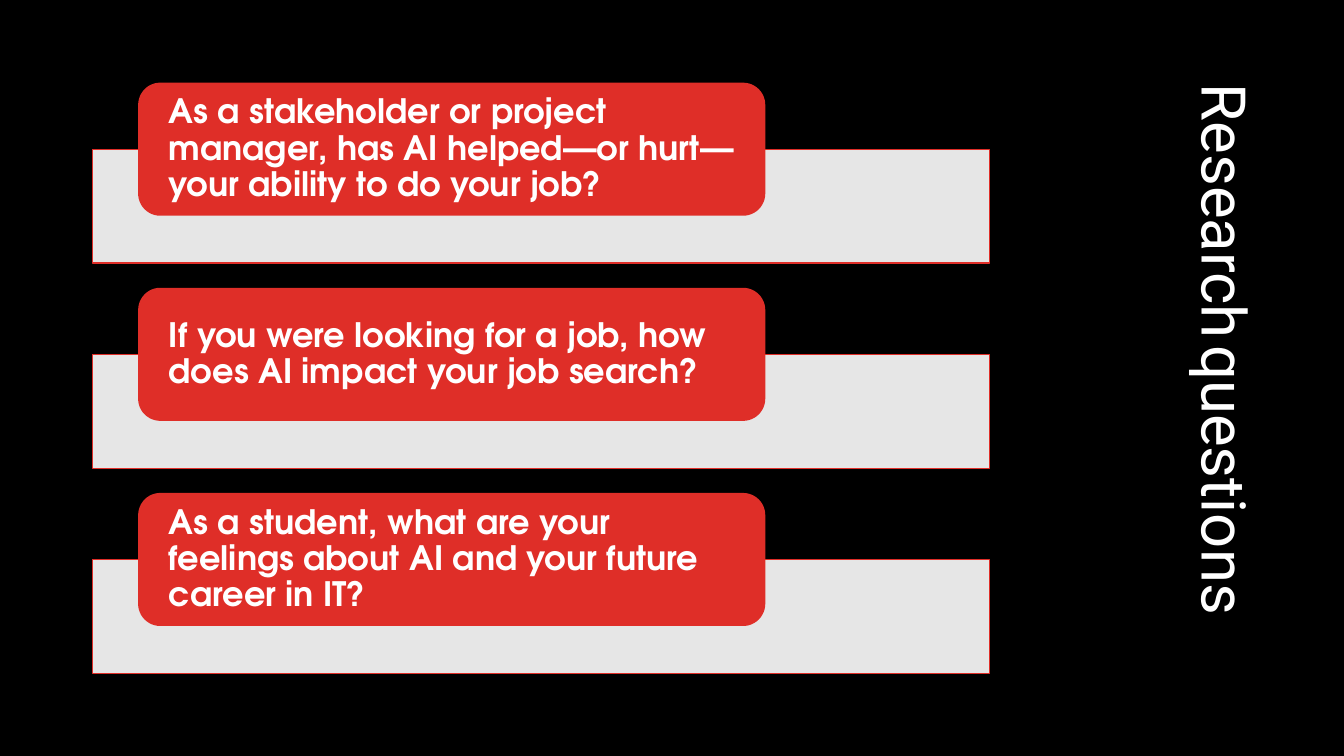
from dataclasses import dataclass

from lxml.etree import SubElement
from pptx import Presentation
from pptx.dml.color import RGBColor
from pptx.enum.shapes import MSO_SHAPE as SHAPE
from pptx.enum.text import MSO_ANCHOR as ANCHOR, MSO_AUTO_SIZE as FIT, PP_ALIGN as ALIGN
from pptx.oxml.ns import qn
from pptx.shapes.autoshape import Shape
from pptx.slide import Slide
from pptx.text.text import _Paragraph as Paragraph
from pptx.util import Inches, Pt

COLORS = {"black": "000000", "white": "FFFFFF", "red": "DF2E28"}
FIRST_TOP, LAST_TOP = 0.82, 4.89
BAR_DROP = 0.66


@dataclass
class Question:
    text: str
    top: float


def rgb(name: str) -> RGBColor:
    return RGBColor.from_string(COLORS[name])


def add_text(p: Paragraph, text: str, *, size: float, font: str, bold: bool = False) -> None:
    r = p.add_run()
    r.text = text
    r.font.size = Pt(size)
    r.font.name = font
    r.font.bold = bold
    r.font.color.rgb = rgb("white")


def add_block(s: Slide, kind: SHAPE, left: float, top: float,
              width: float, height: float, fill: str) -> Shape:
    sp = s.shapes.add_shape(kind, Inches(left), Inches(top), Inches(width), Inches(height))
    sp.shadow.inherit = False
    sp.fill.solid()
    sp.fill.fore_color.rgb = rgb(fill)
    return sp


def add_question(s: Slide, question: Question) -> None:
    bar = add_block(s, SHAPE.RECTANGLE, 0.92, question.top + BAR_DROP, 8.89, 1.13, "white")
    color = bar.fill._xPr.find(f"{qn('a:solidFill')}/{qn('a:srgbClr')}")
    SubElement(color, qn("a:alpha"), val="90000")
    bar.line.color.rgb = rgb("red")
    bar.line.width = Pt(0.75)

    card = add_block(s, SHAPE.ROUNDED_RECTANGLE, 1.37, question.top, 6.22, 1.32, "red")
    card.line.fill.background()
    tf = card.text_frame
    tf.word_wrap = True
    tf.vertical_anchor = ANCHOR.MIDDLE
    tf.margin_left = tf.margin_right = Inches(0.24)
    tf.margin_top = tf.margin_bottom = 0
    p = tf.paragraphs[0]
    p.alignment = ALIGN.LEFT
    p.line_spacing = 0.9
    add_text(p, question.text, size=24, font="TeX Gyre Adventor", bold=True)


def add_title(s: Slide) -> None:
    title = s.shapes.title
    title.left, title.top = Inches(10.95), Inches(0.78)
    title.width, title.height = Inches(1.68), Inches(5.97)
    tf = title.text_frame
    tf.word_wrap = True
    tf.auto_size = FIT.SHAPE_TO_FIT_TEXT
    tf.vertical_anchor = ANCHOR.TOP
    tf._bodyPr.set("vert", "eaVert")
    p = tf.paragraphs[0]
    p.alignment = ALIGN.CENTER
    for text, size in (("Research", 44), (" ", 18), ("questions", 44)):
        add_text(p, text, size=size, font="Roboto")


def main() -> None:
    prs = Presentation()
    prs.slide_width, prs.slide_height = Inches(13.33), Inches(7.5)
    s = prs.slides.add_slide(prs.slide_layouts[5])
    s.background.fill.solid()
    s.background.fill.fore_color.rgb = rgb("black")

    texts = (
        "As a stakeholder or project manager, has AI helped—or hurt—your ability to do your job?",
        "If you were looking for a job, how does AI impact your job search?",
        "As a student, what are your feelings about AI and your future career in IT?",
    )
    pitch = (LAST_TOP - FIRST_TOP) / (len(texts) - 1)
    for i, text in enumerate(texts):
        add_question(s, Question(text, FIRST_TOP + i * pitch))
    add_title(s)
    prs.save("out.pptx")


if __name__ == "__main__":
    main()
